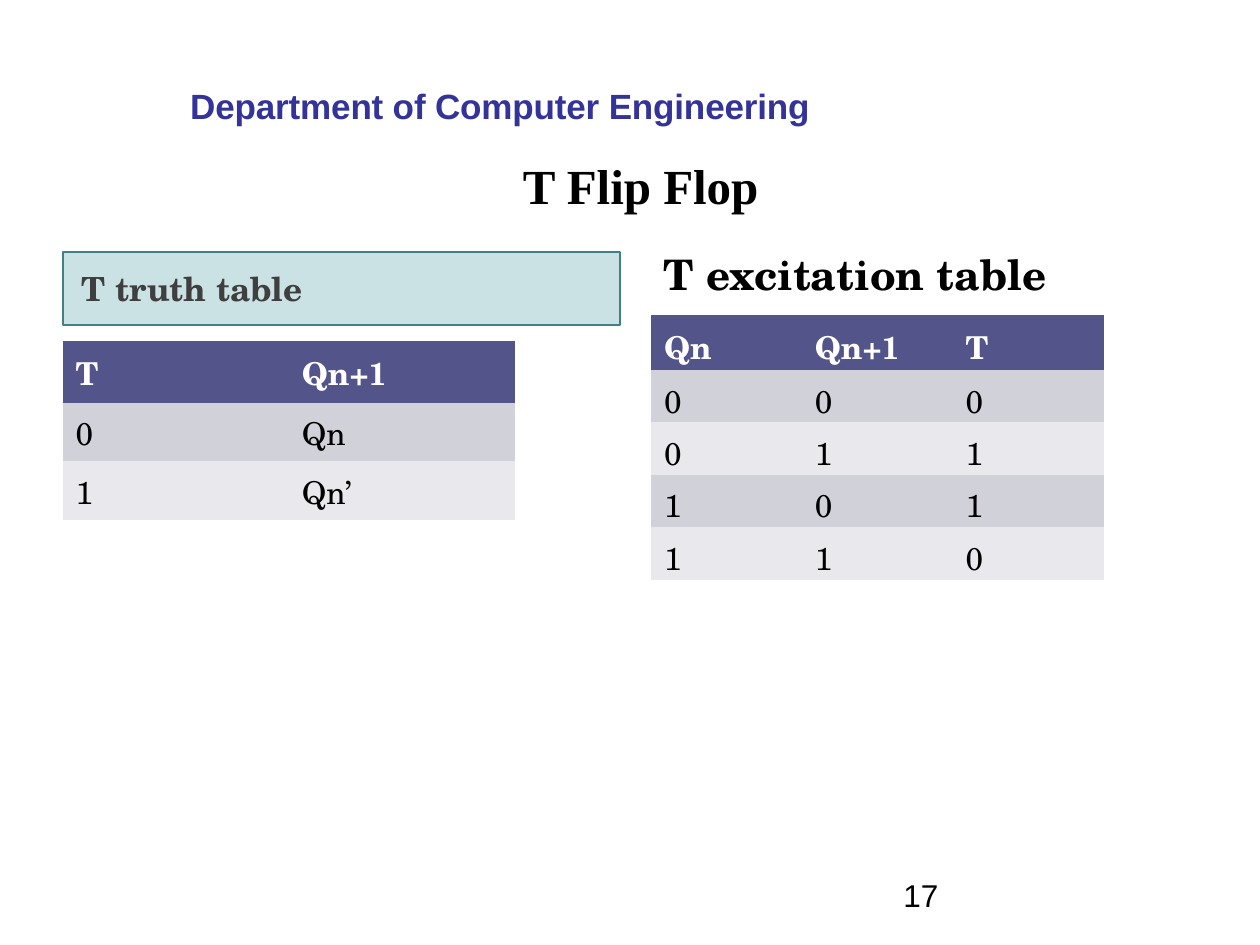
from dataclasses import dataclass

import pptx
import pptx.dml.color
import pptx.enum.shapes
import pptx.enum.text
import pptx.oxml
import pptx.oxml.ns
import pptx.util

Inches, Pt = pptx.util.Inches, pptx.util.Pt
ALIGN = pptx.enum.text.PP_ALIGN
ANCHOR = pptx.enum.text.MSO_ANCHOR
SCHOLA = "TeX Gyre Schola"
COLORS = {
    "black": "000000", "white": "FFFFFF", "heading": "333399", "label": "3F3F3F",
    "teal": "328E97", "teal_line": "438086",
    "header": "53548A", "band_dark": "D1D1DA", "band_light": "E9E9ED",
}


@dataclass
class Label:
    """A single line of text in its own box."""
    text: str
    box: tuple[float, float, float, float]
    font: str
    size: float
    color: str = "black"
    bold: bool = True
    insets: tuple[float, float, float, float] = (0.1, 0.05, 0.1, 0.05)
    align: ALIGN = ALIGN.LEFT
    anchor: ANCHOR = ANCHOR.TOP
    grow: bool = True
    indent: float = 0
    before: float = 0
    spacing: int = 0


@dataclass
class Grid:
    """A banded table with a header row."""
    box: tuple[float, float, float, float]
    rows: list[list[str]]
    bottom_inset: float


LABELS = [
    Label("T excitation table", (5.17, 1.92, 4.25, 0.9), SCHOLA, 24),
    Label("17", (7.17, 6.95, 2.33, 0.4), "Arial", 18, bold=False, insets=(0, 0, 0, 0)),
    Label("T Flip Flop", (0.5, 1.17, 9.17, 0.59), "Times New Roman", 28,
          align=ALIGN.CENTER, anchor=ANCHOR.MIDDLE, grow=False),
    Label("Department of Computer Engineering", (1.5, 0.66, 4.98, 0.36), "Arial", 20,
          "heading", insets=(0, 0.01, 0, 0), indent=0.01, before=1, spacing=-10),
]
TRUTH_LABEL = Label("T truth table", (0.5, 2, 4.42, 0.58), SCHOLA, 19, "label",
                    anchor=ANCHOR.MIDDLE, grow=False, indent=0.05, before=3)
GRIDS = [
    Grid((0.5, 2.71, 3.59, 1.22), [["T", "Qn+1"], ["0", "Qn"], ["1", "Qn’"]], 0.05),
    Grid((5.17, 2.5, 3.59, 2.03),
         [["Qn", "Qn+1", "T"], *(list(row) for row in ("000", "011", "101", "110"))], 0),
]


def rgb(name: str) -> pptx.dml.color.RGBColor:
    """Look up a named colour."""
    return pptx.dml.color.RGBColor.from_string(COLORS[name])


def style(p, font: str, size: float, color: str, bold: bool) -> None:
    """Set the font of a paragraph."""
    p.font.name, p.font.size, p.font.bold = font, Pt(size), bold
    p.font.color.rgb = rgb(color)


def write(sp, label: Label) -> None:
    """Put a label's text into a shape."""
    tf = sp.text_frame
    tf.word_wrap = True
    tf.auto_size = (pptx.enum.text.MSO_AUTO_SIZE.SHAPE_TO_FIT_TEXT if label.grow
                    else pptx.enum.text.MSO_AUTO_SIZE.NONE)
    tf.vertical_anchor = label.anchor
    tf.margin_left, tf.margin_top, tf.margin_right, tf.margin_bottom = map(Inches, label.insets)
    p = tf.paragraphs[0]
    p.alignment, p.space_before = label.align, Pt(label.before)
    r = p.add_run()
    r.text = label.text
    style(p, label.font, label.size, label.color, label.bold)
    if label.indent:
        p._p.get_or_add_pPr().set("marL", str(Inches(label.indent)))
    if label.spacing:
        r._r.get_or_add_rPr().set("spc", str(label.spacing))


def add_panel(s, label: Label) -> None:
    """Draw a label on a translucent outlined rectangle."""
    sp = s.shapes.add_shape(pptx.enum.shapes.MSO_SHAPE.RECTANGLE, *map(Inches, label.box))
    sp.shadow.inherit = False
    sp.fill.solid()
    sp.fill.fore_color.rgb = rgb("teal")
    clr = sp.fill._xPr.find(".//" + pptx.oxml.ns.qn("a:srgbClr"))
    clr.append(pptx.oxml.parse_xml(
        f'<a:alpha {pptx.oxml.ns.nsdecls("a")} val="25000"/>'))
    sp.line.color.rgb = rgb("teal_line")
    sp.line.width = Pt(1)
    write(sp, label)


def add_grid(s, grid: Grid) -> None:
    """Draw a table with equal columns and rows."""
    n_rows, n_cols = len(grid.rows), len(grid.rows[0])
    table = s.shapes.add_table(n_rows, n_cols, *map(Inches, grid.box)).table
    for i, row in enumerate(grid.rows):
        fill = "header" if i == 0 else ("band_light", "band_dark")[i % 2]
        for j, text in enumerate(row):
            cell = table.cell(i, j)
            cell.fill.solid()
            cell.fill.fore_color.rgb = rgb(fill)
            cell.margin_left = cell.margin_right = Inches(0.1)
            cell.margin_top, cell.margin_bottom = Inches(0.06), Inches(grid.bottom_inset)
            # The table style's white cell borders are switched off.
            tc_pr = cell._tc.get_or_add_tcPr()
            for k, side in enumerate(("lnL", "lnR", "lnT", "lnB")):
                tc_pr.insert(k, pptx.oxml.parse_xml(
                    f'<a:{side} {pptx.oxml.ns.nsdecls("a")} w="0"><a:noFill/></a:{side}>'))
            p = cell.text_frame.paragraphs[0]
            p.line_spacing = 0.97
            p.add_run().text = text
            style(p, SCHOLA, 18, "black" if i else "white", i == 0)


def main() -> None:
    """Build the slide and save it."""
    prs = pptx.Presentation()
    prs.slide_width, prs.slide_height = Inches(10), Inches(7.5)
    s = prs.slides.add_slide(prs.slide_layouts[6])
    add_panel(s, TRUTH_LABEL)
    for grid in GRIDS:
        add_grid(s, grid)
    for label in LABELS:
        write(s.shapes.add_textbox(*map(Inches, label.box)), label)
    prs.save("out.pptx")


main()
